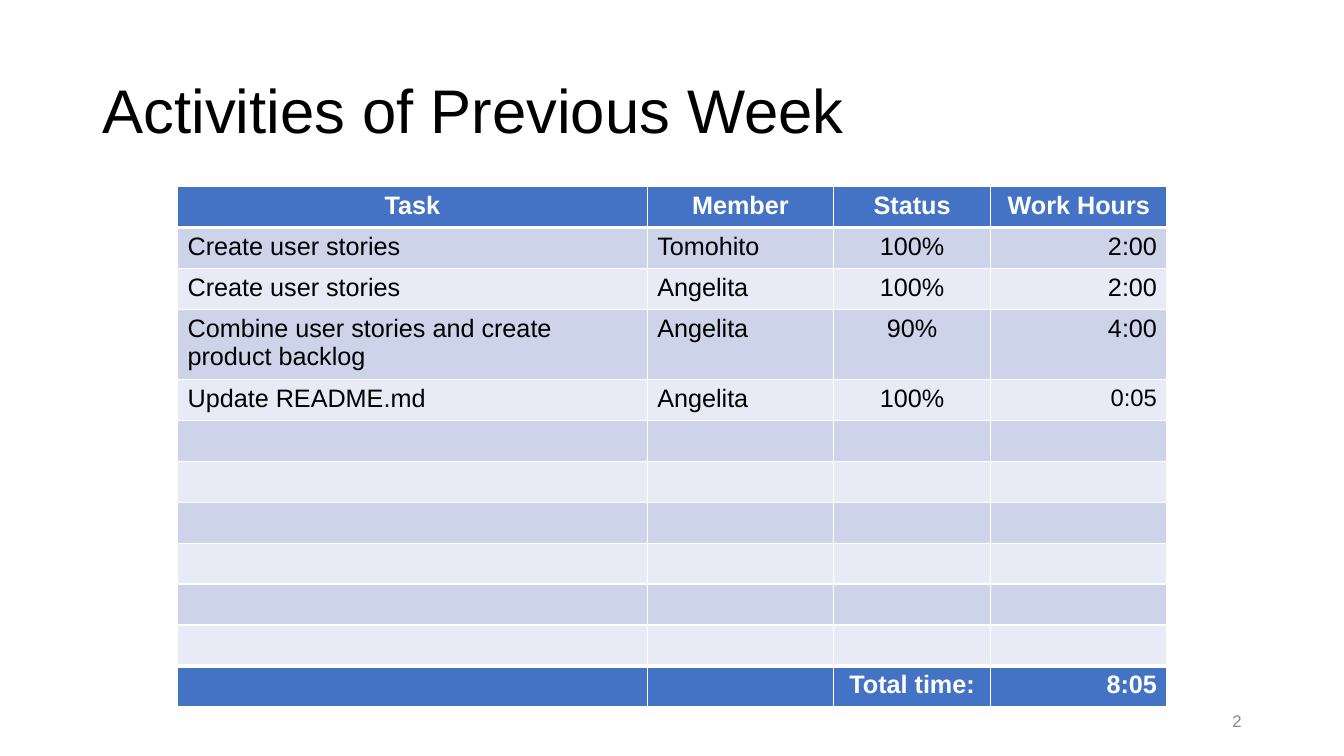
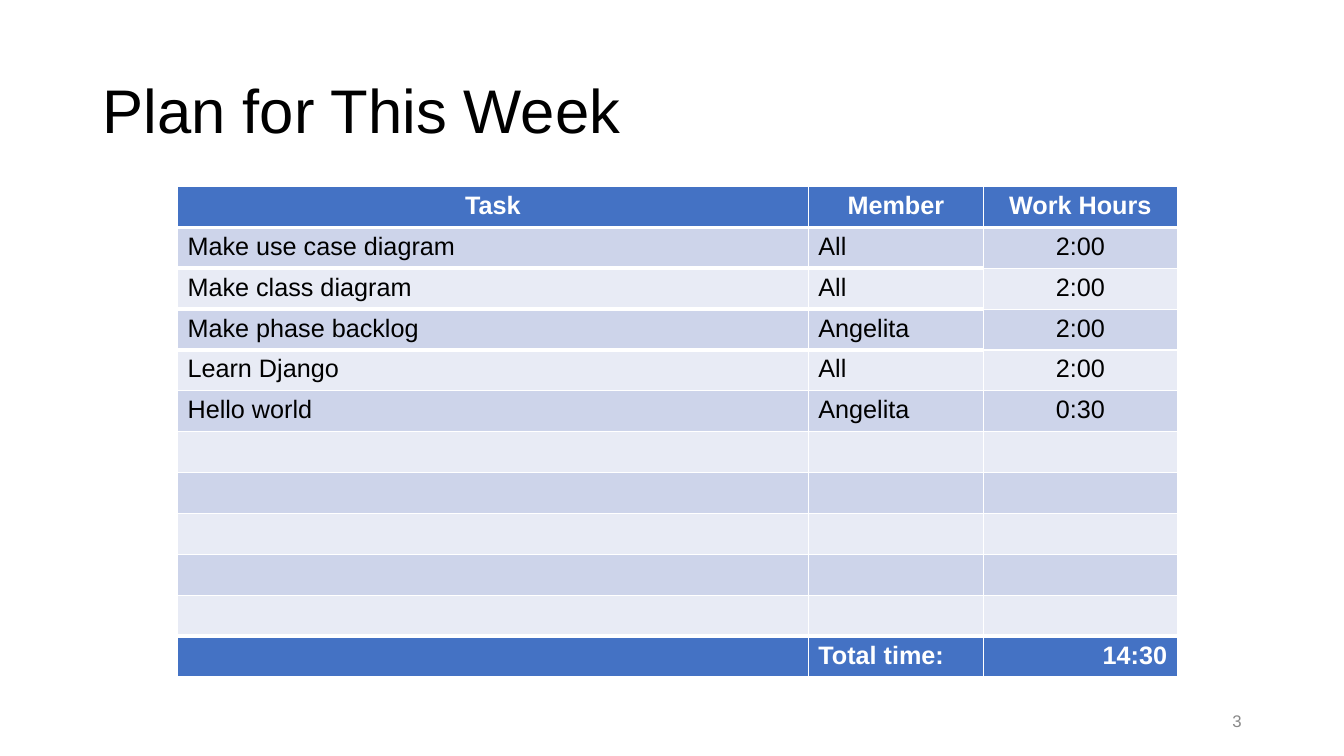
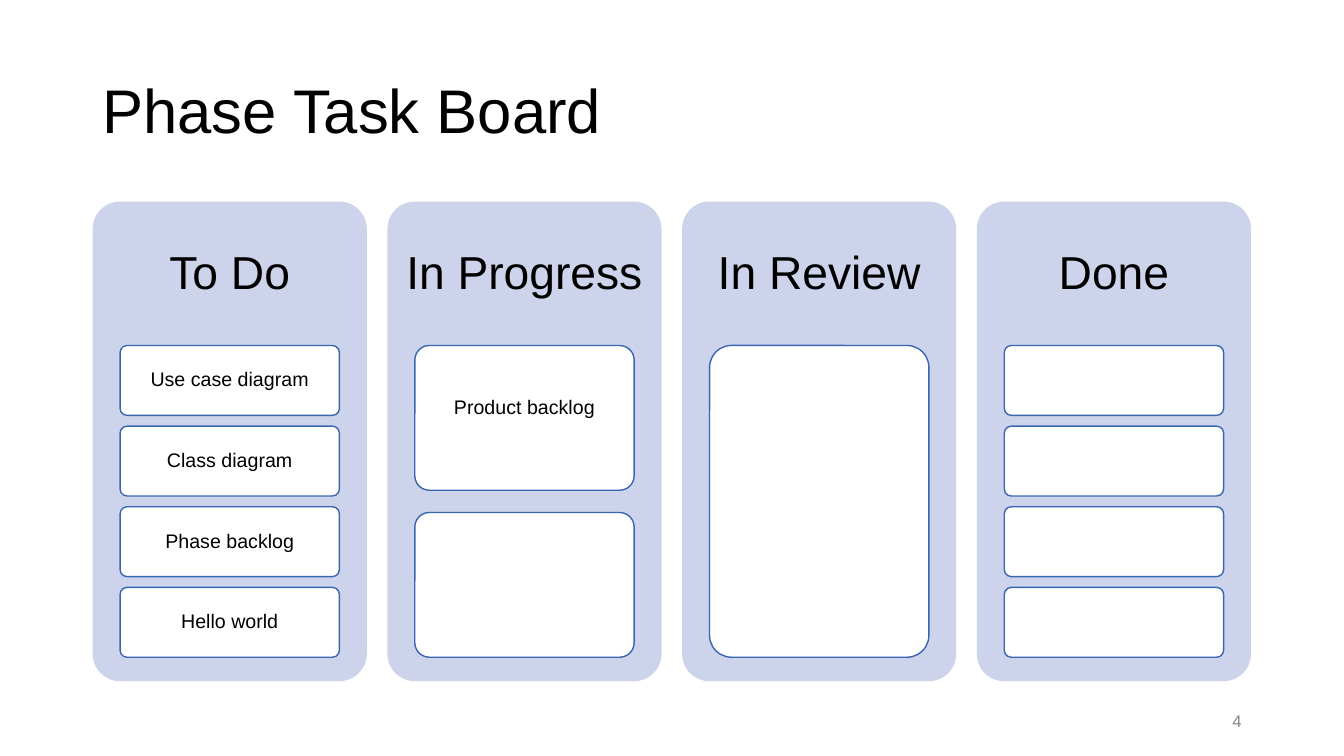
from lxml.etree import SubElement as Sub
from pptx import Presentation
from pptx.dml.color import RGBColor as RGB
from pptx.enum.shapes import MSO_SHAPE as Kind
from pptx.enum.text import MSO_ANCHOR as Anchor, PP_ALIGN as Align
from pptx.oxml.ns import qn
from pptx.util import Pt

BLACK, WHITE, GREY = "000000", "FFFFFF", "888888"
BLUE, EDGE, PANEL = "4472C4", "3A66B1", "CCD3EA"
BANDS = ("CDD4EA", "E8EBF5")
ALIGN = {"l": Align.LEFT, "c": Align.CENTER, "r": Align.RIGHT}
ROW = 29.2


def color(code):
    return RGB.from_string(code)


def paint(fill, code):
    fill.solid()
    fill.fore_color.rgb = color(code)


def assign(target, values):
    for name, value in values.items():
        setattr(target, name, value)


def write(frame, text, size, code=BLACK, align="l", bold=False, space=None):
    """Put one formatted paragraph in a text frame."""
    frame.text = text
    para = frame.paragraphs[0]
    assign(para, {"alignment": ALIGN[align], "line_spacing": space})
    assign(para.font, {"name": "Arial", "size": Pt(size), "bold": bold})
    para.font.color.rgb = color(code)


# Parts that every slide shares
def start(deck, title, number):
    slide = deck.slides.add_slide(deck.slide_layouts[5])
    head = slide.shapes.title
    assign(head, {"left": Pt(66), "top": Pt(28.8),
                  "width": Pt(828), "height": Pt(104.4)})
    head.text_frame.vertical_anchor = Anchor.MIDDLE
    write(head.text_frame, title, 44, space=0.9)

    page = slide.shapes.add_textbox(Pt(678), Pt(500.4), Pt(216), Pt(28.8))
    assign(page.text_frame, {"word_wrap": True,
                             "vertical_anchor": Anchor.MIDDLE})
    write(page.text_frame, str(number), 12, GREY, "r")
    return slide


# Tables
def border(cell, over, under):
    props = cell._tc.get_or_add_tcPr()
    for side, width in (("L", 1), ("R", 1), ("T", over), ("B", under)):
        line = Sub(props, qn("a:ln" + side), w=str(Pt(width)))
        fill = Sub(line, qn("a:solidFill"))
        Sub(fill, qn("a:srgbClr"), val=WHITE)


def hours(slide, box, widths, rows, body, foot, thick=(), sizes={}):
    """Draw a header, banded rows and a total row.

    body and foot hold one alignment letter per column; thick lists the
    (row, column) cells with a heavy line below; sizes holds odd text sizes.
    """
    left, top = box
    last = len(rows) - 1
    frame = slide.shapes.add_table(len(rows), len(widths), Pt(left), Pt(top),
                                   Pt(sum(widths)), Pt(ROW * len(rows)))
    table = frame.table
    for col, width in zip(table.columns, widths):
        col.width = Pt(width)
    for row in table.rows:
        row.height = Pt(ROW)

    def weight(r, c):
        return 3 if r in (0, last - 1) or (r, c) in thick else 1

    for r, texts in enumerate(rows):
        strong = r in (0, last)
        aligns = "c" * len(widths) if r == 0 else foot if r == last else body
        for c, text in enumerate(texts):
            cell = table.cell(r, c)
            border(cell, weight(r - 1, c), weight(r, c))
            paint(cell.fill, BLUE if strong else BANDS[(r - 1) % 2])
            write(cell.text_frame, text, sizes.get((r, c), 18),
                  WHITE if strong else BLACK, aligns[c], strong)


# Task board
def panel(slide, box, fill, edge=None):
    shape = slide.shapes.add_shape(Kind.ROUNDED_RECTANGLE, *map(Pt, box))
    shape.adjustments[0] = 0.1
    shape.shadow.inherit = False
    paint(shape.fill, fill)
    if edge:
        shape.line.color.rgb = color(edge)
        shape.line.width = Pt(1)
    else:
        shape.line.fill.background()
    return shape


def label(shape, text, size, low=2):
    """Centre text in a shape, with the bottom inset low."""
    assign(shape.text_frame, {
        "word_wrap": True, "vertical_anchor": Anchor.MIDDLE,
        "margin_left": Pt(3), "margin_right": Pt(3),
        "margin_top": Pt(2), "margin_bottom": Pt(low)})
    write(shape.text_frame, text, size, align="c", space=0.9)


def lane(slide, box, name, cards, lift=0):
    """Draw a column: heading in the top 30 %, cards in the next 65 %."""
    left, top, width, height = box
    label(panel(slide, box, PANEL), name, 33, 0.7 * height)
    count = len(cards)
    tall = 0.65 * height / (count + (count - 1) / 6.5)
    step = tall * (1 + 1 / 6.5)
    for i, text in enumerate(cards):
        card = panel(slide, (left + 0.1 * width, top + 0.3 * height + i * step,
                             0.8 * width, tall), WHITE, EDGE)
        if text:
            label(card, text, 14, 2 + lift)


def board(slide, box, lanes):
    left, top, width, height = box
    gap = 14.7
    wide = (width - gap * (len(lanes) - 1)) / len(lanes)
    for i, lot in enumerate(lanes):
        lane(slide, (left + i * (wide + gap), top, wide, height), *lot)


def main():
    deck = Presentation()
    assign(deck, {"slide_width": Pt(960), "slide_height": Pt(540)})
    spot = (126.8, 133.2)

    # Last week
    past = start(deck, "Activities of Previous Week", 2)
    hours(past, spot, (335.5, 133.2, 112.2, 126), [
        ("Task", "Member", "Status", "Work Hours"),
        ("Create user stories", "Tomohito", "100%", "2:00"),
        ("Create user stories", "Angelita", "100%", "2:00"),
        ("Combine user stories and create product backlog",
         "Angelita", "90%", "4:00"),
        ("Update README.md", "Angelita", "100%", "0:05"),
        *[("",) * 4] * 6,
        ("", "", "Total time:", "8:05"),
    ], "llcr", "llcr", sizes={(4, 3): 17})

    # This week
    plan = start(deck, "Plan for This Week", 3)
    hours(plan, spot, (450.6, 125.1, 138.4), [
        ("Task", "Member", "Work Hours"),
        ("Make use case diagram", "All", "2:00"),
        ("Make class diagram", "All", "2:00"),
        ("Make phase backlog", "Angelita", "2:00"),
        ("Learn Django", "All", "2:00"),
        ("Hello world", "Angelita", "0:30"),
        *[("",) * 3] * 5,
        ("", "Total time:", "14:30"),
    ], "llc", "llr", thick=[(r, c) for r in (1, 2, 3) for c in (0, 1)])

    # Board
    tasks = start(deck, "Phase Task Board", 4)
    board(tasks, (66.2, 144, 827.4, 342.6), [
        ("To Do", ("Use case diagram", "Class diagram",
                   "Phase backlog", "Hello world")),
        ("In Progress", ("Product backlog", ""), 14.5),
        ("In Review", ("",)),
        ("Done", ("",) * 4),
    ])
    deck.save("out.pptx")


if __name__ == "__main__":
    main()
